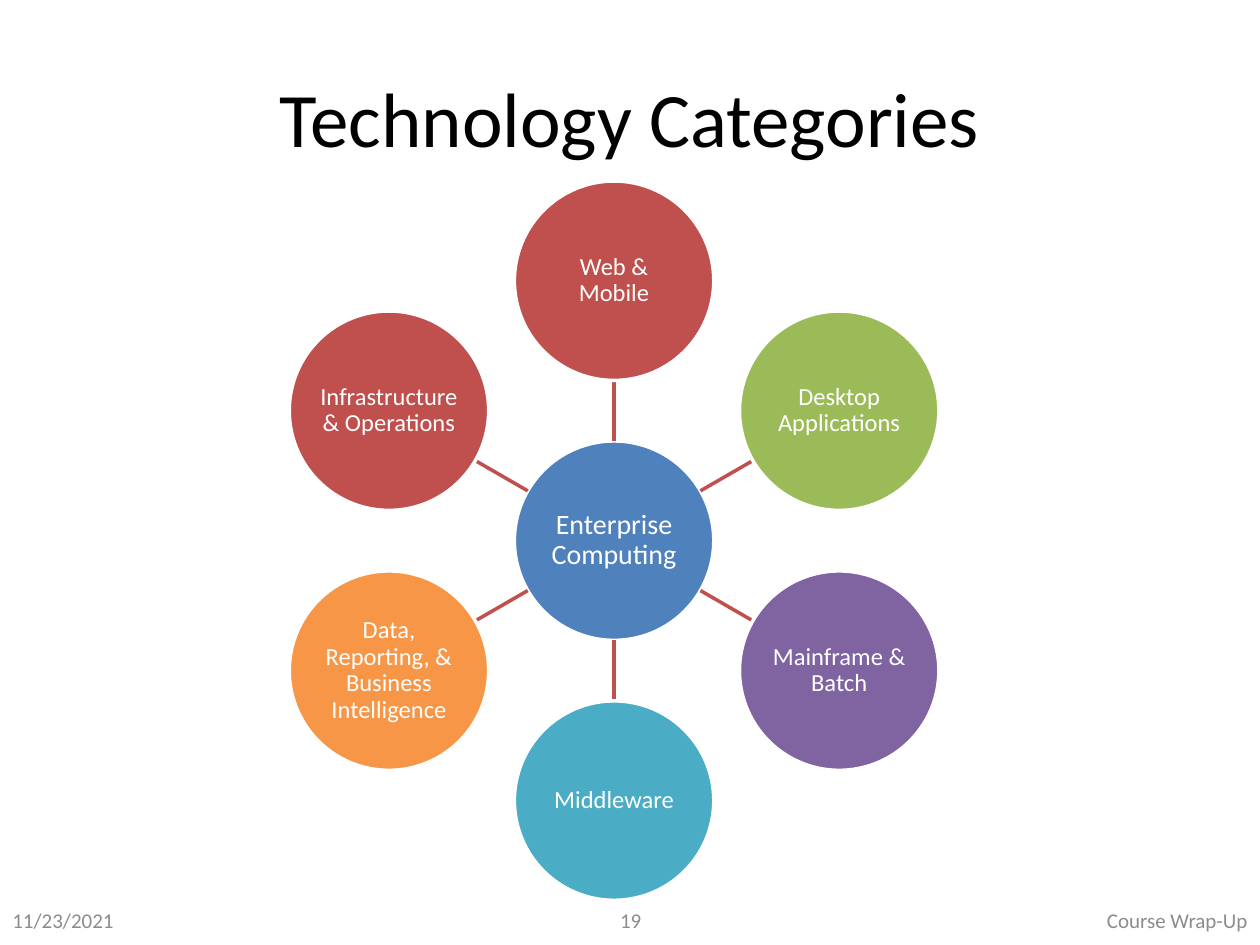
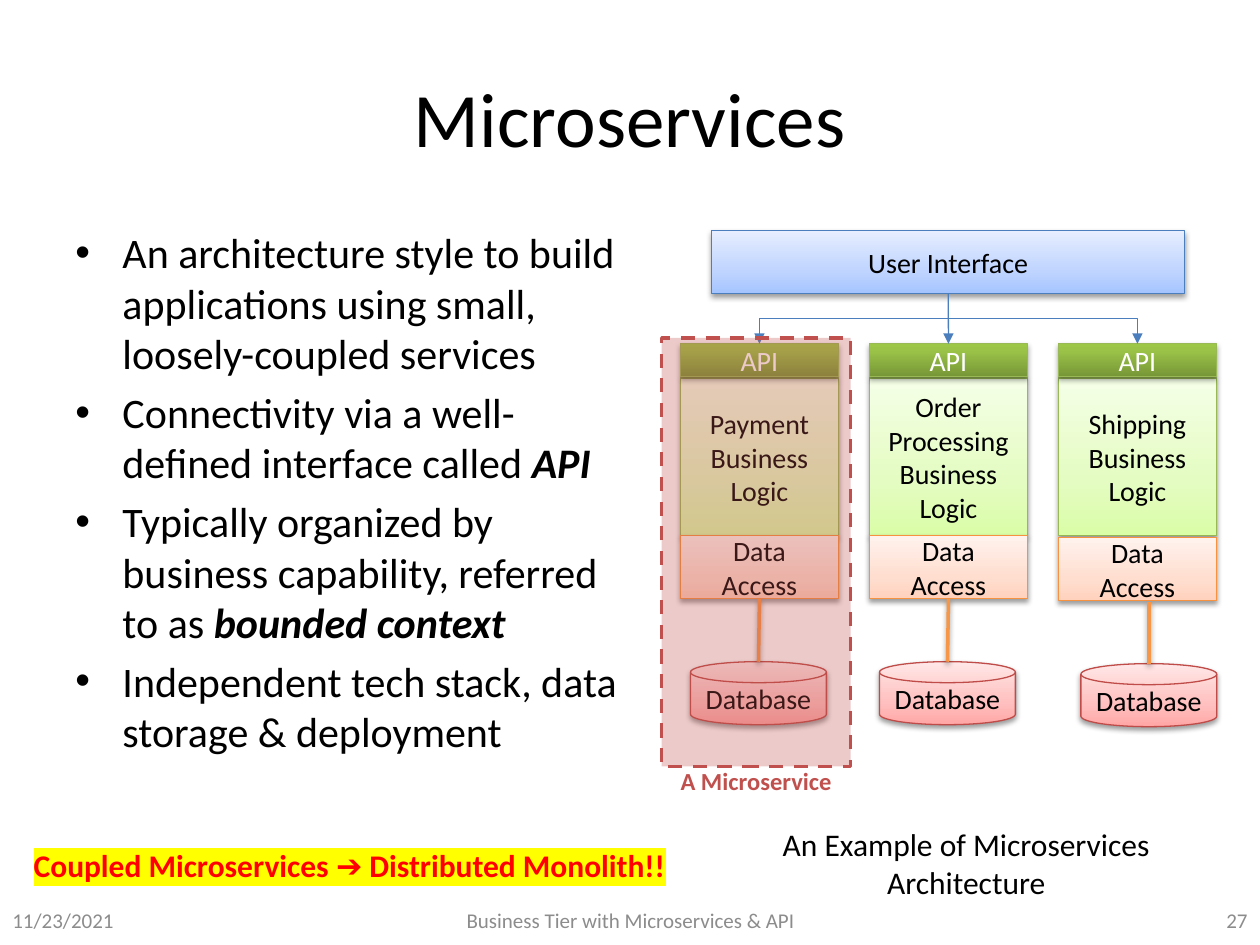
from math import cos, radians, sin

from lxml.etree import SubElement
from pptx import Presentation
from pptx.dml.color import RGBColor
from pptx.enum.dml import MSO_LINE_DASH_STYLE as Dash
from pptx.enum.shapes import MSO_CONNECTOR as Link, MSO_SHAPE as Preset
from pptx.enum.text import MSO_ANCHOR as Anchor, PP_ALIGN as Align
from pptx.oxml.ns import qn
from pptx.util import Cm, Pt

BLUE, RED, GREEN = "4F81BD", "C0504D", "9BBB59"
PURPLE, TEAL, ORANGE = "8064A2", "4BACC6", "F79646"
BLACK, WHITE, GREY = "000000", "FFFFFF", "8C8C8C"
WIRE = "4B7EBC"
STRONG = {"bold": True, "italic": True}

# Gradient stops (percent, colour) run from the bottom edge to the top edge.
SOFT_SHADOW = {"opacity": 38, "distance": 1.6}
INTERFACE = {"stops": [(0, "A4C4FF"), (35, "BFD4FF"), (100, "E6EEFF")],
             "edge": WIRE, "shadow": SOFT_SHADOW, "ink": BLACK}
API = {"stops": [(0, "779737"), (80, "9BC348"), (100, "9DC746")],
       "edge": "98B955", "shadow": {"opacity": 35, "distance": 1.8}, "ink": WHITE}
LOGIC = {"stops": [(0, "DAFDA7"), (35, "E4FCC2"), (100, "F5FFE7")],
         "edge": "98B955", "shadow": SOFT_SHADOW, "ink": BLACK}
ACCESS = {"stops": [(0, "FFD2BD"), (35, "FFDED0"), (100, "FFF2ED")],
          "edge": "F69240", "shadow": SOFT_SHADOW, "ink": BLACK}
STORAGE = {"stops": [(0, "FFA6A5"), (35, "FFC0BF"), (100, "FFE7E7")],
           "edge": "BF4C48", "shadow": SOFT_SHADOW, "ink": BLACK}


def rgb(colour):
    return RGBColor.from_string(colour)


def assign(target, values):
    for name, value in values.items():
        setattr(target, name, value)


def add_colour(parent, colour, opacity=100):
    node = SubElement(parent, qn("a:srgbClr"), val=colour)
    if opacity < 100:
        SubElement(node, qn("a:alpha"), val=str(opacity * 1000))


def add_shadow(effects, opacity, distance):
    """Fill an effect list with a shadow that falls straight down."""
    outer = SubElement(effects, qn("a:outerShdw"), blurRad=str(Pt(3.1)),
                       dist=str(Pt(distance)), dir="5400000", rotWithShape="0")
    add_colour(outer, BLACK, opacity)


class Deck:
    font = "Calibri"

    def __init__(self):
        self.show = Presentation()
        assign(self.show, {"slide_width": Cm(25.4), "slide_height": Cm(19.05)})
        self.slide = None

    def new_slide(self, title, *footers):
        self.slide = self.show.slides.add_slide(self.show.slide_layouts[6])
        self.text((1.27, 0.76, 22.86, 3.18), [title], 44, align=Align.CENTER,
                  anchor=Anchor.MIDDLE)
        spots = ((0, 5.92, Align.LEFT), (8.69, 8.05, Align.CENTER),
                 (19.48, 5.92, Align.RIGHT))
        for (left, width, align), footer in zip(spots, footers):
            self.text((left, 18.03, width, 1.02), [footer], 12, GREY, align,
                      Anchor.MIDDLE)

    def fill_text(self, frame, paragraphs, size, colour, align, anchor, **extra):
        """Add paragraphs, each a string or a list of (text, font values)."""
        assign(frame, {"word_wrap": True, "vertical_anchor": anchor})
        for index, content in enumerate(paragraphs):
            paragraph = frame.add_paragraph() if index else frame.paragraphs[0]
            paragraph.alignment = align
            pieces = [(content, {})] if isinstance(content, str) else content
            for words, values in pieces:
                run = paragraph.add_run()
                run.text = words
                assign(run.font, {"name": self.font, "size": Pt(size), **extra, **values})
                run.font.color.rgb = rgb(colour)

    def text(self, box, paragraphs, size, colour=BLACK, align=Align.LEFT,
             anchor=Anchor.TOP, **extra):
        frame = self.slide.shapes.add_textbox(*map(Cm, box)).text_frame
        self.fill_text(frame, paragraphs, size, colour, align, anchor, **extra)
        return frame

    def bullets(self, box, items, size):
        for paragraph in self.text(box, items, size).paragraphs:
            paragraph.space_before = Pt(size * 0.2)
            properties = paragraph._p.get_or_add_pPr()
            properties.set("marL", str(Cm(0.95)))
            properties.set("indent", str(-Cm(0.95)))
            SubElement(properties, qn("a:buFont"), typeface="Arial")
            SubElement(properties, qn("a:buChar"), char="•")

    def highlight(self, frame, colour):
        for run in frame.paragraphs[0].runs:
            fill = run._r.rPr.find(qn("a:solidFill"))
            mark = SubElement(run._r.rPr, qn("a:highlight"))
            add_colour(mark, colour)
            fill.addnext(mark)

    def shape(self, preset, box, fill, edge, weight):
        shape = self.slide.shapes.add_shape(preset, *map(Cm, box))
        shape.shadow.inherit = False
        shape.fill.solid()
        shape.fill.fore_color.rgb = rgb(fill)
        shape.line.color.rgb = rgb(edge)
        shape.line.width = Pt(weight)
        return shape

    def circle(self, centre, diameter, fill, label, size):
        x, y = centre
        box = (x - diameter / 2, y - diameter / 2, diameter, diameter)
        frame = self.shape(Preset.OVAL, box, fill, WHITE, 2).text_frame
        assign(frame, {f"margin_{side}": Cm(0.03)
                       for side in ("left", "top", "right", "bottom")})
        self.fill_text(frame, [label], size, WHITE, Align.CENTER, Anchor.MIDDLE)
        frame.paragraphs[0].line_spacing = 0.9

    def block(self, box, look, label, preset=Preset.RECTANGLE):
        """Draw a labelled component with a gradient and a shadow."""
        block = self.shape(preset, box, WHITE, look["edge"], 0.75)
        block.fill.gradient()
        block.fill.gradient_angle = 90
        properties = block._element.spPr
        stops = properties.find(".//" + qn("a:gsLst"))
        stops.clear()
        for percent, colour in look["stops"]:
            add_colour(SubElement(stops, qn("a:gs"), pos=str(percent * 1000)), colour)
        add_shadow(properties.find(qn("a:effectLst")), **look["shadow"])
        self.fill_text(block.text_frame, [label], 16, look["ink"], Align.CENTER,
                       Anchor.MIDDLE)
        return block

    def line(self, start, end, colour, weight, kind=Link.STRAIGHT, arrow=False,
             shadow=None):
        line = self.slide.shapes.add_connector(kind, *map(Cm, (*start, *end)))
        line.line.color.rgb = rgb(colour)
        line.line.width = Pt(weight)
        properties = line._element.spPr
        if arrow:
            SubElement(properties.find(qn("a:ln")), qn("a:tailEnd"), type="triangle")
        effects = SubElement(properties, qn("a:effectLst"))
        if shadow:
            add_shadow(effects, **shadow)
        return line

    def elbow_down(self, start, end, colour, weight):
        """Draw an arrow that goes down, sideways and down again."""
        (x1, y1), (x2, y2) = start, end
        middle_x, middle_y = (x1 + x2) / 2, (y1 + y2) / 2
        reach, half_span = (y2 - y1) / 2, abs(x2 - x1) / 2
        if x2 > x1:
            reach = -reach
        elbow = self.line((middle_x - reach, middle_y - half_span),
                          (middle_x + reach, middle_y + half_span),
                          colour, weight, Link.ELBOW, arrow=True)
        turn = 270 if x2 > x1 else 90
        elbow._element.spPr.find(qn("a:xfrm")).set("rot", str(turn * 60000))


def technology_categories(deck):
    deck.new_slide("Technology Categories", "11/23/2021", "19", "Course Wrap-Up")
    hub_x, hub_y, diameter, orbit = 12.38, 10.9, 4.02, 5.24
    categories = [("Web & Mobile", RED), ("Desktop Applications", GREEN),
                  ("Mainframe & Batch", PURPLE), ("Middleware", TEAL),
                  ("Data, Reporting, & Business Intelligence", ORANGE),
                  ("Infrastructure & Operations", RED)]

    def around(angle, distance):
        return (hub_x + distance * cos(radians(angle)),
                hub_y + distance * sin(radians(angle)))

    deck.circle((hub_x, hub_y), diameter, BLUE, "Enterprise Computing", 16)
    for index, (category, colour) in enumerate(categories):
        angle = index * 360 / len(categories) - 90
        deck.line(around(angle, diameter / 2), around(angle, orbit - diameter / 2),
                  RED, 2)
        deck.circle(around(angle, orbit), diameter, colour, category, 14)


def microservices(deck):
    deck.new_slide("Microservices", "11/23/2021",
                   "Business Tier with Microservices & API", "27")
    deck.bullets((1.27, 4.45, 11.58, 12.57), [
        "An architecture style to build applications using small, "
        "loosely-coupled services",
        [("Connectivity via a well-defined interface called ", {}), ("API", STRONG)],
        [("Typically organized by business capability, referred to as ", {}),
         ("bounded context", STRONG)],
        "Independent tech stack, data storage & deployment"], 24)
    deck.text((14.4, 16.51, 10.16, 1.8), ["An Example of Microservices Architecture"],
              18, align=Align.CENTER)

    interface = deck.block((14.35, 4.65, 9.53, 1.27), INTERFACE, "User Interface")
    first_left, pitch, width = 13.72, 3.81, 3.18
    api_top = 6.93
    # Service name, drop of its lower blocks, inset of its database
    services = [("Payment", 0, 0.2), ("Order Processing", 0, 0.2),
                ("Shipping", 0.04, 0.45)]
    for index, (service, drop, inset) in enumerate(services):
        left = first_left + index * pitch
        deck.block((left, 7.62, width, 3.18), LOGIC, f"{service} Business Logic")
        access = deck.block((left, 10.8 + drop, width, 1.27), ACCESS, "Data Access")
        disk_x, disk_top = left + inset + 1.37, 13.34 + drop
        deck.block((left + inset, disk_top, 2.74, 1.27), STORAGE, "Database",
                   Preset.FLOWCHART_MAGNETIC_DISK)
        query = deck.line((disk_x, 12.1 + drop), (disk_x, disk_top), ORANGE, 2,
                          shadow=SOFT_SHADOW)
        if abs(disk_x - left - width / 2) < 0.1:
            query.begin_connect(access, 2)
        api = deck.block((left, api_top, width, 0.66), API, "API")

        source, target = (19.12, 5.92), (left + width / 2, api_top)
        if index == 1:
            call = deck.line(source, target, WIRE, 0.75, arrow=True)
            call.begin_connect(interface, 2)
            call.end_connect(api, 0)
        else:
            deck.elbow_down(source, target, WIRE, 0.75)

    boundary = deck.shape(Preset.RECTANGLE, (13.34, 6.81, 3.81, 8.64), RED, RED, 2)
    boundary.line.dash_style = Dash.DASH
    tint = boundary._element.spPr.find(f"{qn('a:solidFill')}/{qn('a:srgbClr')}")
    SubElement(tint, qn("a:alpha"), val="30000")
    deck.text((13.34, 15.32, 3.81, 0.86), ["A Microservice"], 14, RED, Align.CENTER,
              bold=True)
    warning = deck.text((0.43, 16.94, 13.97, 1.02),
                        ["Coupled Microservices ➔ Distributed Monolith!!"],
                        18, "FF0000", bold=True)
    deck.highlight(warning, "FFFF00")


def main():
    deck = Deck()
    technology_categories(deck)
    microservices(deck)
    deck.show.save("out.pptx")


if __name__ == "__main__":
    main()
